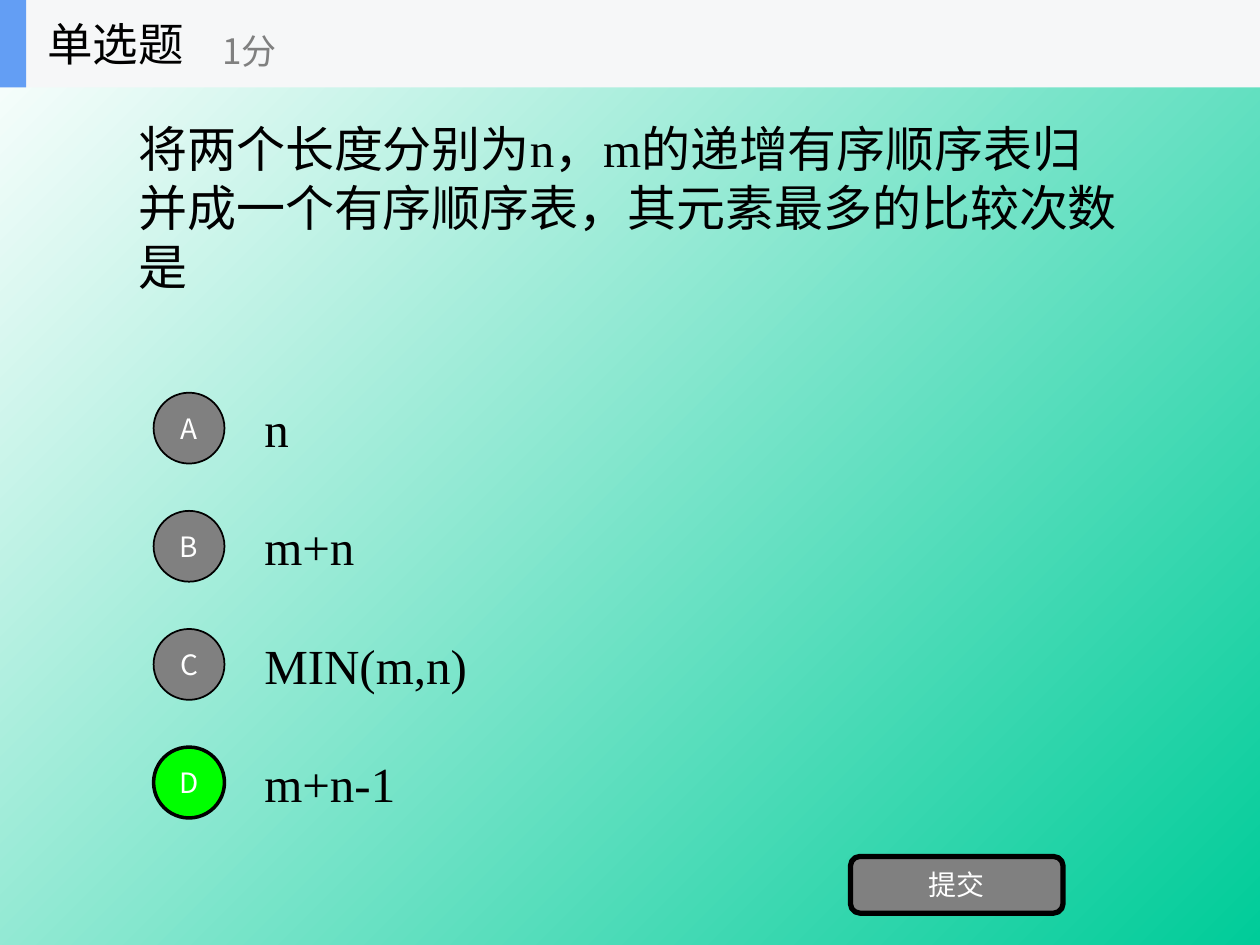
"""Build a single-choice quiz slide about merging two sorted lists."""
import pptx
import pptx.dml.color
import pptx.enum.shapes
import pptx.enum.text
import pptx.oxml
import pptx.oxml.ns
import pptx.util

Pt = pptx.util.Pt
Shape = pptx.enum.shapes.MSO_SHAPE
Align = pptx.enum.text.PP_ALIGN
SANS = "Noto Sans CJK SC"
SERIF = "Times New Roman"
BLACK, GREY, WHITE, GREEN = "000000", "808080", "FFFFFF", "00FF00"


def color(hex_text):
    return pptx.dml.color.RGBColor.from_string(hex_text)


class QuizSlide:
    def __init__(self, slide):
        self.slide = slide
        self.shapes = slide.shapes

    def background(self, start, end):
        fill = self.slide.background.fill
        fill.gradient()
        fill.gradient_angle = 315
        for stop, position, shade in zip(fill.gradient_stops, (0, 1), (start, end)):
            stop.position = position
            stop.color.rgb = color(shade)

    def start_group(self):
        self.shapes = self.slide.shapes.add_group_shape().shapes

    def add_wording(self, frame, wording, size, font, ink, align):
        frame.word_wrap = True
        frame.vertical_anchor = pptx.enum.text.MSO_ANCHOR.MIDDLE
        paragraph = frame.paragraphs[0]
        paragraph.alignment = align
        run = paragraph.add_run()
        run.text = wording
        run.font.size = Pt(size)
        run.font.name = font
        run.font.color.rgb = color(ink)
        east_asian = pptx.oxml.parse_xml(
            f'<a:ea {pptx.oxml.ns.nsdecls("a")} typeface="{SANS}"/>')
        run.font._element.append(east_asian)

    def text(self, box, wording, size=28, font=SERIF, ink=BLACK):
        frame = self.shapes.add_textbox(*map(Pt, box)).text_frame
        self.add_wording(frame, wording, size, font, ink, Align.LEFT)

    def block(self, kind, box, fill, border=0, label=""):
        shape = self.shapes.add_shape(kind, *map(Pt, box))
        shape.shadow.inherit = False
        shape.fill.solid()
        shape.fill.fore_color.rgb = color(fill)
        if border:
            shape.line.color.rgb = color(BLACK)
            shape.line.width = Pt(border)
        else:
            shape.line.fill.background()
        if label:
            self.add_wording(shape.text_frame, label, 16, SANS, WHITE, Align.CENTER)


def main():
    deck = pptx.Presentation()
    deck.slide_width, deck.slide_height = Pt(720), Pt(540)
    quiz = QuizSlide(deck.slides.add_slide(deck.slide_layouts[6]))
    quiz.background(WHITE, "00CC99")

    quiz.text((72, 33.75, 576, 168.75),
              "将两个长度分别为n，m的递增有序顺序表归并成一个有序顺序表，其元素最多的比较次数是")

    answers = {"A": "n", "B": "m+n", "C": "MIN(m,n)", "D": "m+n-1"}
    correct = "D"
    first_top, step = 219.4, 67.5
    for row, answer in enumerate(answers.values()):
        quiz.text((144, first_top + row * step, 504, 50.6), answer)
    for row, letter in enumerate(answers):
        fill, border = (GREEN, 2) if letter == correct else (GREY, 1)
        quiz.block(Shape.OVAL, (87.75, first_top + 5 + row * step, 40.5, 40.5),
                   fill, border, letter)

    quiz.block(Shape.ROUNDED_RECTANGLE, (486, 489.4, 121.5, 32.4), GREY, 3, "提交")

    quiz.start_group()
    quiz.block(Shape.RECTANGLE, (0, 0, 720, 50), "F6F7F8")
    quiz.block(Shape.RECTANGLE, (0, 0, 15, 50), "639EF4")
    quiz.text((20, 0, 150, 50), "单选题", 26, SANS)
    quiz.text((120, 8.6, 180, 40), "1分", 20, SANS, GREY)

    deck.save("out.pptx")


if __name__ == "__main__":
    main()
